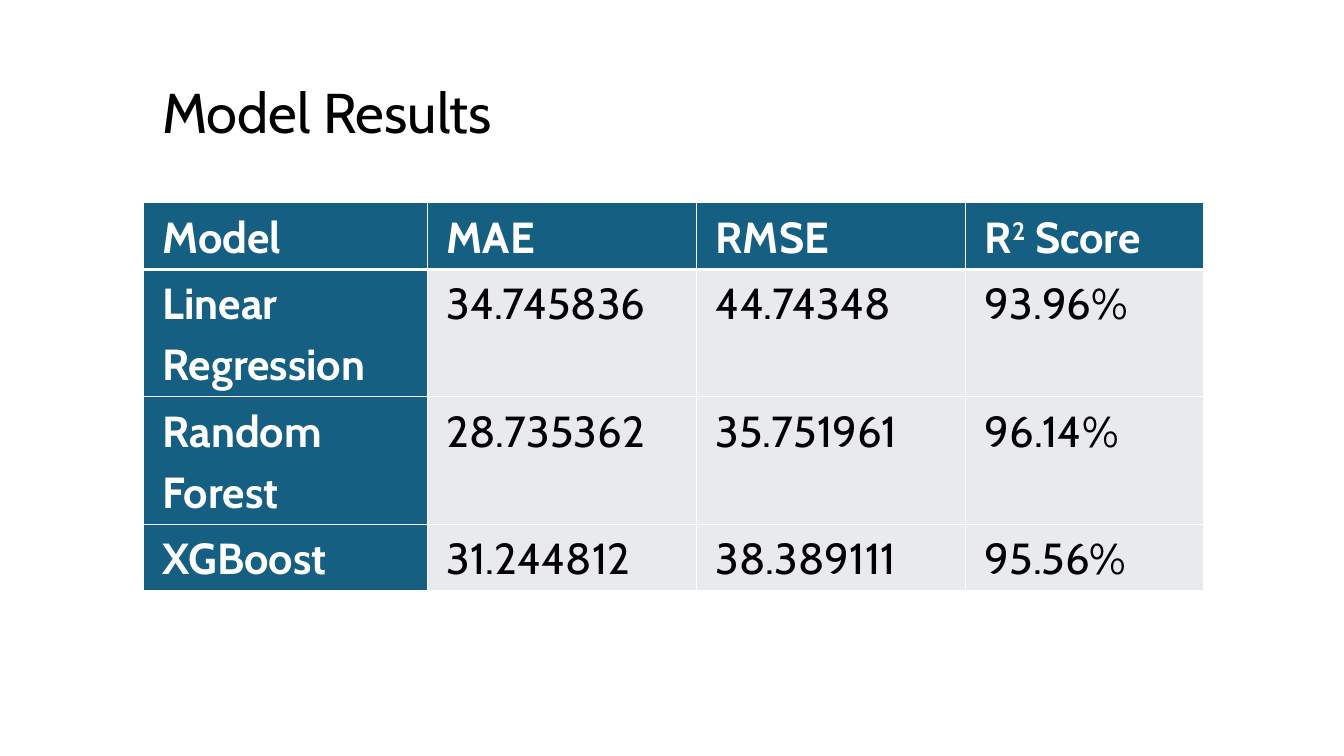
from dataclasses import dataclass

from lxml.etree import SubElement
from pptx import Presentation
from pptx.dml.color import RGBColor as Rgb
from pptx.enum.text import MSO_ANCHOR as Anchor
from pptx.oxml.ns import qn
from pptx.util import Cm, Pt


@dataclass(frozen=True)
class Theme:
    font: str = "Cabin"
    ink: str = "000000"
    paper: str = "FFFFFF"
    heading_fill: str = "156082"
    value_fill: str = "E8EAED"
    title_size: float = 40
    table_size: float = 31
    thin_rule: float = 1
    thick_rule: float = 3


class SlideBuilder:
    def __init__(self, slide, theme):
        self.slide = slide
        self.theme = theme

    def add_run(self, paragraph, text, size, color, bold=False, raised=False):
        run = paragraph.add_run()
        run.text = text
        run.font.name = self.theme.font
        run.font.size = Pt(size)
        run.font.bold = bold
        run.font.color.rgb = Rgb.from_string(color)
        if raised:
            run.font._element.set("baseline", "30000")

    def title(self, text, left, top, width, height):
        frame = self.slide.shapes.add_textbox(
            Cm(left), Cm(top), Cm(width), Cm(height)).text_frame
        frame.word_wrap = True
        frame.vertical_anchor = Anchor.TOP
        paragraph = frame.paragraphs[0]
        paragraph.line_spacing = 0.9
        self.add_run(paragraph, text, self.theme.title_size, self.theme.ink)

    def borders(self, cell, **widths):
        properties = cell._tc.get_or_add_tcPr()
        for side in "LRTB":
            width = widths.get(side, self.theme.thin_rule)
            line = SubElement(properties, qn(f"a:ln{side}"), w=str(Pt(width)))
            fill = SubElement(line, qn("a:solidFill"))
            SubElement(fill, qn("a:srgbClr"), val=self.theme.paper)

    def cell(self, cell, runs, heading):
        theme = self.theme
        cell.margin_left = cell.margin_right = Cm(0.48)
        cell.margin_top = cell.margin_bottom = 0
        cell.fill.solid()
        cell.fill.fore_color.rgb = Rgb.from_string(
            theme.heading_fill if heading else theme.value_fill)
        paragraph = cell.text_frame.paragraphs[0]
        paragraph.line_spacing = 1.16
        paragraph.space_after = Pt(8)
        for text, raised in runs:
            self.add_run(paragraph, text, theme.table_size,
                         theme.paper if heading else theme.ink,
                         bold=heading, raised=raised)

    def table(self, rows, left, top, widths, heights):
        table = self.slide.shapes.add_table(
            len(rows), len(widths), Cm(left), Cm(top),
            Cm(sum(widths)), Cm(sum(heights))).table
        for column, width in zip(table.columns, widths):
            column.width = Cm(width)
        for row, height in zip(table.rows, heights):
            row.height = Cm(height)
        thick = self.theme.thick_rule
        rules = {0: {"B": thick}, 1: {"T": thick}}
        for r, row in enumerate(rows):
            for c, content in enumerate(row):
                cell = table.cell(r, c)
                runs = [(content, False)] if isinstance(content, str) else content
                self.borders(cell, **rules.get(r, {}))
                self.cell(cell, runs, heading=r == 0 or c == 0)


def main():
    deck = Presentation()
    deck.slide_width, deck.slide_height = Cm(33.87), Cm(19.05)
    builder = SlideBuilder(deck.slides.add_slide(deck.slide_layouts[6]), Theme())

    # Title
    builder.title("Model Results", 3.84, 2.03, 26.24, 2.64)

    # Scores of each model
    r2_score = [("R", False), ("2", True), (" Score", False)]
    results = [
        ("Model", "MAE", "RMSE", r2_score),
        ("Linear Regression", "34.745836", "44.74348", "93.96%"),
        ("Random Forest", "28.735362", "35.751961", "96.14%"),
        ("XGBoost", "31.244812", "38.389111", "95.56%"),
    ]
    one_line, two_lines = 1.68, 3.21
    builder.table(results, 3.62, 5.11,
                  widths=(7.16, 6.78, 6.78, 6),
                  heights=(one_line, two_lines, two_lines, one_line))

    deck.save("out.pptx")


if __name__ == "__main__":
    main()
